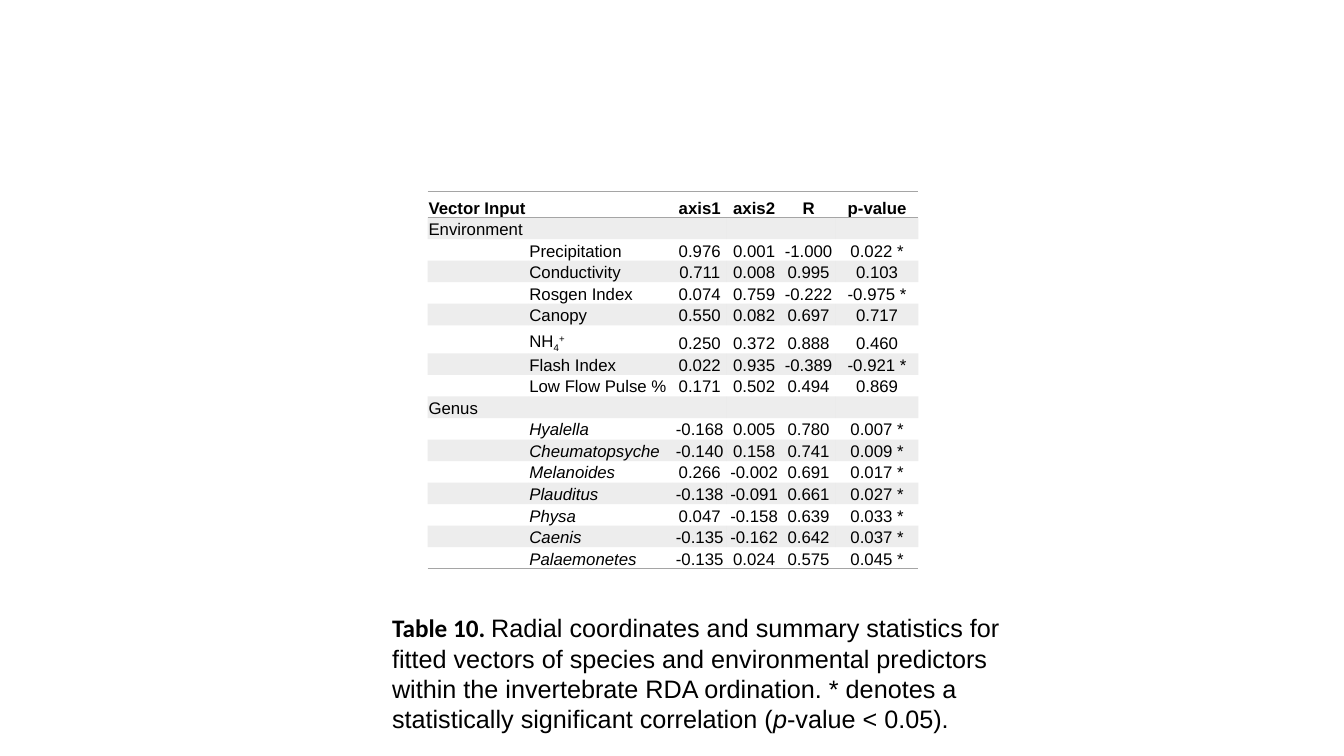
from dataclasses import dataclass

from lxml import etree
from pptx import Presentation
from pptx import util as u
from pptx.dml import color
from pptx.enum import text
from pptx.oxml import ns


@dataclass(frozen=True)
class Theme:
    ink: color.RGBColor = color.RGBColor(0, 0, 0)
    gray: color.RGBColor = color.RGBColor(0xA5, 0xA5, 0xA5)
    band_alpha: int = 20
    rule_pt: float = 1
    table_pt: int = 12
    caption_pt: int = 18
    body_font: str = "Arial"
    label_font: str = "Calibri"


THEME = Theme()
NO_STYLE = "{2D5ABB26-0587-4C30-8999-92F81FD0307C}"
AMMONIUM = "NH4+"

HEADER = ("Vector Input", "", "axis1", "axis2", "R", "p-value")
ENVIRONMENT = [
    ("Precipitation", "0.976", "0.001", "-1.000", "0.022 *"),
    ("Conductivity", "0.711", "0.008", "0.995", "0.103"),
    ("Rosgen Index", "0.074", "0.759", "-0.222", "-0.975 *"),
    ("Canopy", "0.550", "0.082", "0.697", "0.717"),
    (AMMONIUM, "0.250", "0.372", "0.888", "0.460"),
    ("Flash Index", "0.022", "0.935", "-0.389", "-0.921 *"),
    ("Low Flow Pulse %", "0.171", "0.502", "0.494", "0.869"),
]
GENUS = [
    ("Hyalella", "-0.168", "0.005", "0.780", "0.007 *"),
    ("Cheumatopsyche", "-0.140", "0.158", "0.741", "0.009 *"),
    ("Melanoides", "0.266", "-0.002", "0.691", "0.017 *"),
    ("Plauditus", "-0.138", "-0.091", "0.661", "0.027 *"),
    ("Physa", "0.047", "-0.158", "0.639", "0.033 *"),
    ("Caenis", "-0.135", "-0.162", "0.642", "0.037 *"),
    ("Palaemonetes", "-0.135", "0.024", "0.575", "0.045 *"),
]
COL_WIDTHS = (1, 1.43, 0.54, 0.54, 0.54, 0.82)
HEADER_HEIGHT, AMMONIUM_HEIGHT = 0.26, 0.28


def add_run(p, words, size, font=THEME.body_font, bold=False, italic=False, baseline=0):
    r = p.add_run()
    r.text = words
    f = r.font
    f.name, f.size, f.bold, f.italic = font, u.Pt(size), bold, italic
    f.color.rgb = THEME.ink
    if baseline:
        f._element.set("baseline", str(baseline * 1000))


def add_rules(cell, sides):
    """Draw horizontal rules; border elements must precede the cell fill."""
    tcPr = cell._tc.get_or_add_tcPr()
    for i, side in enumerate(sides):
        ln = etree.Element(ns.qn(f"a:ln{side}"), w=str(u.Pt(THEME.rule_pt)))
        fill = etree.SubElement(ln, ns.qn("a:solidFill"))
        etree.SubElement(fill, ns.qn("a:srgbClr"), val=str(THEME.gray))
        tcPr.insert(i, ln)


def shade(cell, banded):
    if not banded:
        cell.fill.background()
        return
    cell.fill.solid()
    cell.fill.fore_color.rgb = THEME.gray
    clr = next(cell._tc.tcPr.iter(ns.qn("a:srgbClr")))
    etree.SubElement(clr, ns.qn("a:alpha"), val=str(THEME.band_alpha * 1000))


def fill_cell(cell, words, centered, bold, italic):
    cell.margin_left = cell.margin_right = cell.margin_top = u.Inches(0.01)
    cell.margin_bottom = 0
    cell.vertical_anchor = text.MSO_ANCHOR.BOTTOM
    p = cell.text_frame.paragraphs[0]
    if centered:
        p.alignment = text.PP_ALIGN.CENTER
    if words == AMMONIUM:
        for part, baseline in (("NH", 0), ("4", -25), ("+", 30)):
            add_run(p, part, THEME.table_pt, baseline=baseline)
    elif words:
        add_run(p, words, THEME.table_pt, bold=bold, italic=italic)
    else:
        # Keeps empty cells from stretching their row
        etree.SubElement(p._p, ns.qn("a:endParaRPr"), sz=str(THEME.table_pt * 100))


def statistics_table(s, left, top, width, height):
    rows = [HEADER]
    for group, records in (("Environment", ENVIRONMENT), ("Genus", GENUS)):
        rows.append((group,) + ("",) * 5)
        rows.extend(("",) + record for record in records)
    genera = {record[0] for record in GENUS}

    frame = s.shapes.add_table(len(rows), len(HEADER), u.Inches(left), u.Inches(top),
                               u.Inches(width), u.Inches(height))
    table = frame.table
    table.first_row = table.horz_banding = False
    next(table._tbl.iter(ns.qn("a:tableStyleId"))).text = NO_STYLE
    for column, col_width in zip(table.columns, COL_WIDTHS):
        column.width = u.Inches(col_width)

    row_height = (height - HEADER_HEIGHT - AMMONIUM_HEIGHT) / (len(rows) - 2)
    for i, row in enumerate(rows):
        special = HEADER_HEIGHT if i == 0 else AMMONIUM_HEIGHT if AMMONIUM in row else None
        table.rows[i].height = u.Inches(special or row_height)
        sides = "TB" if i == 0 else "B" if i == len(rows) - 1 else ""
        for j, words in enumerate(row):
            cell = table.cell(i, j)
            fill_cell(cell, words, centered=j > 1, bold=i == 0, italic=words in genera)
            shade(cell, banded=i % 2 == 1)
            add_rules(cell, sides)
    table.cell(0, 0).merge(table.cell(0, 1))


def caption(s, left, top, width, height):
    box = s.shapes.add_textbox(u.Inches(left), u.Inches(top), u.Inches(width), u.Inches(height))
    tf = box.text_frame
    tf.word_wrap = True
    tf.auto_size = text.MSO_AUTO_SIZE.SHAPE_TO_FIT_TEXT
    p = tf.paragraphs[0]
    size = THEME.caption_pt
    add_run(p, "Table 10. ", size, font=THEME.label_font, bold=True)
    add_run(p, "Radial coordinates and summary statistics for fitted vectors of species and "
               "environmental predictors within the invertebrate RDA ordination. * denotes a "
               "statistically significant correlation (", size)
    add_run(p, "p", size, italic=True)
    add_run(p, "-value < 0.05).", size)


def main():
    prs = Presentation()
    prs.slide_width, prs.slide_height = u.Inches(13.33), u.Inches(7.5)
    s = prs.slides.add_slide(prs.slide_layouts[6])
    statistics_table(s, 4.24, 1.9, 4.86, 3.7)
    caption(s, 3.79, 6.03, 6.67, 1.31)
    prs.save("out.pptx")


if __name__ == "__main__":
    main()
